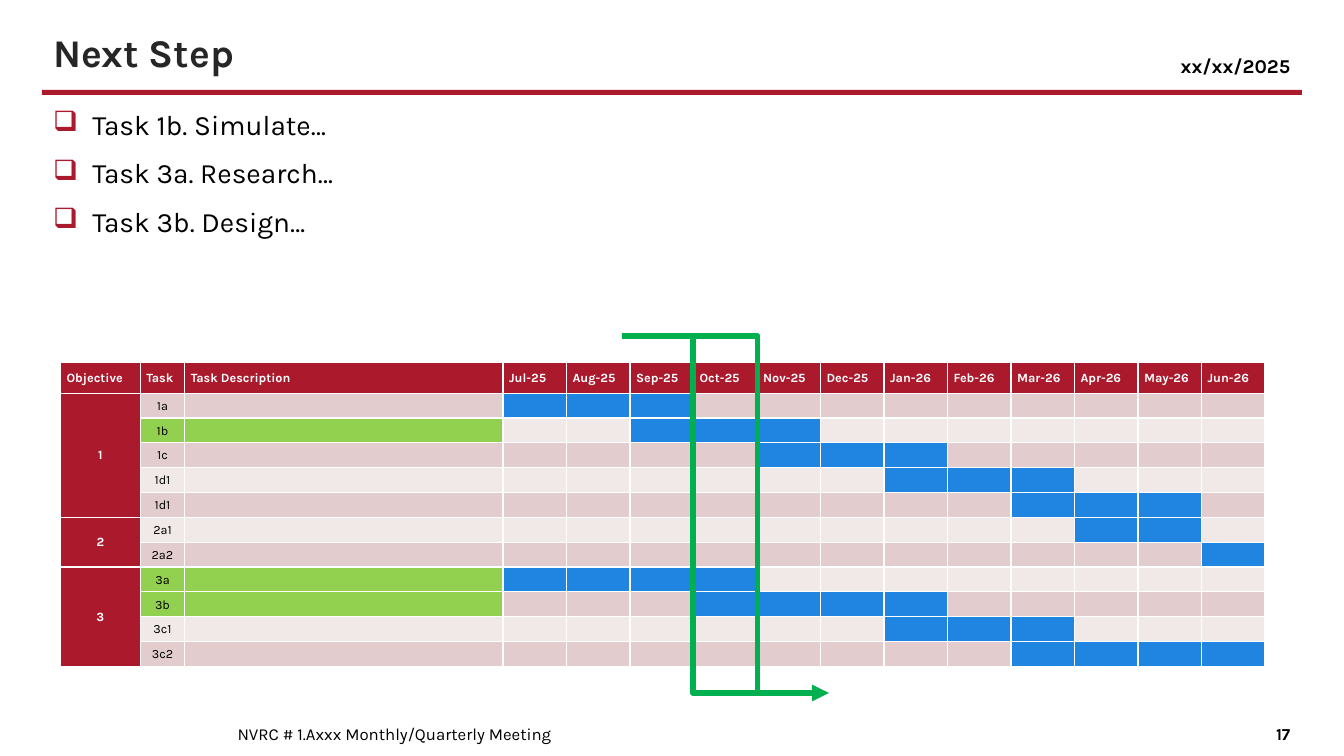
from lxml.etree import SubElement
from pptx import Presentation
from pptx.dml.color import RGBColor
from pptx.enum.shapes import MSO_CONNECTOR, MSO_SHAPE
from pptx.enum.text import MSO_ANCHOR, PP_ALIGN
from pptx.oxml.ns import qn
from pptx.util import Emu, Inches, Pt

UNIT = Inches(1) // 12
WIDE, HIGH = 160, 90
FONT = "Karla"
RED, BLUE, LIME, GREEN = "AB192D", "2085E0", "92D050", "00B050"
BANDS = ("E2CCCD", "F1E8E8")
BLACK, WHITE = "000000", "FFFFFF"

HEADS = ["Objective", "Task", "Task Description",
         "Jul-25", "Aug-25", "Sep-25", "Oct-25", "Nov-25", "Dec-25",
         "Jan-26", "Feb-26", "Mar-26", "Apr-26", "May-26", "Jun-26"]
COLS = [9.5, 5.3, 37.9] + [7.56] * 12
GOALS = [("1", 5), ("2", 2), ("3", 4)]
TASKS = [("1a", 0, 3), ("1b", 2, 3), ("1c", 4, 3), ("1d1", 6, 3),
         ("1d1", 8, 3), ("2a1", 9, 2), ("2a2", 11, 1), ("3a", 0, 4),
         ("3b", 3, 4), ("3c1", 6, 3), ("3c2", 8, 4)]
NEXT = {"1b", "3a", "3b"}


def grid(*cells):
    return [Emu(round(cell * UNIT)) for cell in cells]


def color(code):
    return RGBColor.from_string(code)


def paint(thing, code):
    thing.fill.solid()
    thing.fill.fore_color.rgb = color(code)


def style(para, size, code, bold, align):
    para.alignment = align
    para.font.name = FONT
    para.font.size = Pt(size)
    para.font.bold = bold
    para.font.color.rgb = color(code)


def add_text(slide, box, lines, size, code=BLACK, bold=False,
             align=PP_ALIGN.LEFT, anchor=MSO_ANCHOR.MIDDLE, wrap=True):
    frame = slide.shapes.add_textbox(*grid(*box)).text_frame
    frame.word_wrap = wrap
    if not wrap:
        frame.margin_left = frame.margin_right = 0
    frame.vertical_anchor = anchor
    frame.text = "\n".join(lines)
    for para in frame.paragraphs:
        style(para, size, code, bold, align)
    return frame.paragraphs


def add_mark(para):
    para.line_spacing = 0.95
    para.space_before = Pt(12)
    props = para.font._element.getparent()
    dent = Inches(0.39)
    props.set("marL", str(dent))
    props.set("indent", str(-dent))
    tint = SubElement(props, qn("a:buClr"))
    SubElement(tint, qn("a:srgbClr"), val=RED)
    mark = SubElement(props, qn("a:buChar"), char="❑")
    for part in (tint, mark):
        para.font._element.addprevious(part)


def add_bar(slide, box, code):
    bar = slide.shapes.add_shape(MSO_SHAPE.RECTANGLE, *grid(*box))
    bar.shadow.inherit = False
    bar.line.fill.background()
    paint(bar, code)


def set_cell(cell, text, fill, code=BLACK, bold=False, align=PP_ALIGN.CENTER):
    cell.margin_left = cell.margin_right = Inches(0.06)
    cell.margin_top = cell.margin_bottom = 0
    cell.vertical_anchor = MSO_ANCHOR.MIDDLE
    props = cell._tc.get_or_add_tcPr()
    for side in ("lnL", "lnR", "lnT", "lnB"):
        edge = SubElement(props, qn(f"a:{side}"), w=str(Pt(1)))
        tint = SubElement(edge, qn("a:solidFill"))
        SubElement(tint, qn("a:srgbClr"), val=WHITE)
    paint(cell, fill)
    cell.text = text
    para = cell.text_frame.paragraphs[0]
    if text:
        para.line_spacing = 1.07
        para.space_after = Pt(8)
    else:
        SubElement(para._p, qn("a:endParaRPr"), sz="900")
    style(para, 9, code, bold, align)


def add_plan(slide, left, top, head, row):
    count = len(TASKS)
    size = grid(left, top, sum(COLS), head + row * count)
    plan = slide.shapes.add_table(count + 1, len(COLS), *size).table
    for col, width in zip(plan.columns, grid(*COLS)):
        col.width = width
    for line, height in zip(plan.rows, grid(head, *[row] * count)):
        line.height = height
    for col, text in enumerate(HEADS):
        set_cell(plan.cell(0, col), text, RED, WHITE, True, PP_ALIGN.JUSTIFY)
    for num, (name, start, span) in enumerate(TASKS):
        band = BANDS[num % 2]
        label = LIME if name in NEXT else band
        set_cell(plan.cell(num + 1, 1), name, label)
        set_cell(plan.cell(num + 1, 2), "", label)
        for month in range(12):
            busy = start <= month < start + span
            set_cell(plan.cell(num + 1, month + 3), "", BLUE if busy else band)
    first = 1
    for name, span in GOALS:
        for num in range(first, first + span):
            set_cell(plan.cell(num, 0), name if num == first else "",
                     RED, WHITE, True)
        plan.cell(first, 0).merge(plan.cell(first + span - 1, 0))
        first += span


def add_bend(slide, ends, arrow=False):
    bend = slide.shapes.add_connector(MSO_CONNECTOR.ELBOW, *grid(*ends))
    bend.line.width = Pt(4)
    bend.line.color.rgb = color(GREEN)
    if arrow:
        SubElement(bend.line._get_or_add_ln(), qn("a:tailEnd"), type="triangle")
    SubElement(bend._element.spPr, qn("a:effectLst"))


def main():
    deck = Presentation()
    deck.slide_width, deck.slide_height = grid(WIDE, HIGH)
    slide = deck.slides.add_slide(deck.slide_layouts[6])
    add_bar(slide, (5, 10.7, 150, 0.6), RED)
    add_text(slide, (5.15, 2, 149.8, 7.6), ["Next Step"], 28, "262626", True,
             anchor=MSO_ANCHOR.BOTTOM)
    for para in add_text(slide, (5.15, 12.45, 149.8, 33.6),
                         ["Task 1b. Simulate…", "Task 3a. Research…",
                          "Task 3b. Design…"], 20, anchor=MSO_ANCHOR.TOP):
        add_mark(para)
    add_text(slide, (146.4, 85.9, 8.4, 2.9), ["17"], 12, bold=True,
             align=PP_ALIGN.RIGHT)
    add_text(slide, (27.1, 85.9, 117.6, 2.9),
             ["NVRC # 1.Axxx Monthly/Quarterly Meeting"], 12)
    add_text(slide, (139.4, 5.8, 15.4, 4), ["xx/xx/2025"], 14, bold=True,
             align=PP_ALIGN.CENTER, anchor=MSO_ANCHOR.TOP, wrap=False)
    add_plan(slide, 7.2, 43.2, 3.6, 2.96)
    for left, arrow in ((74, False), (81.7, True)):
        add_bend(slide, (left, 40, left + 17, 82.5), arrow)
    deck.save("out.pptx")


if __name__ == "__main__":
    main()
